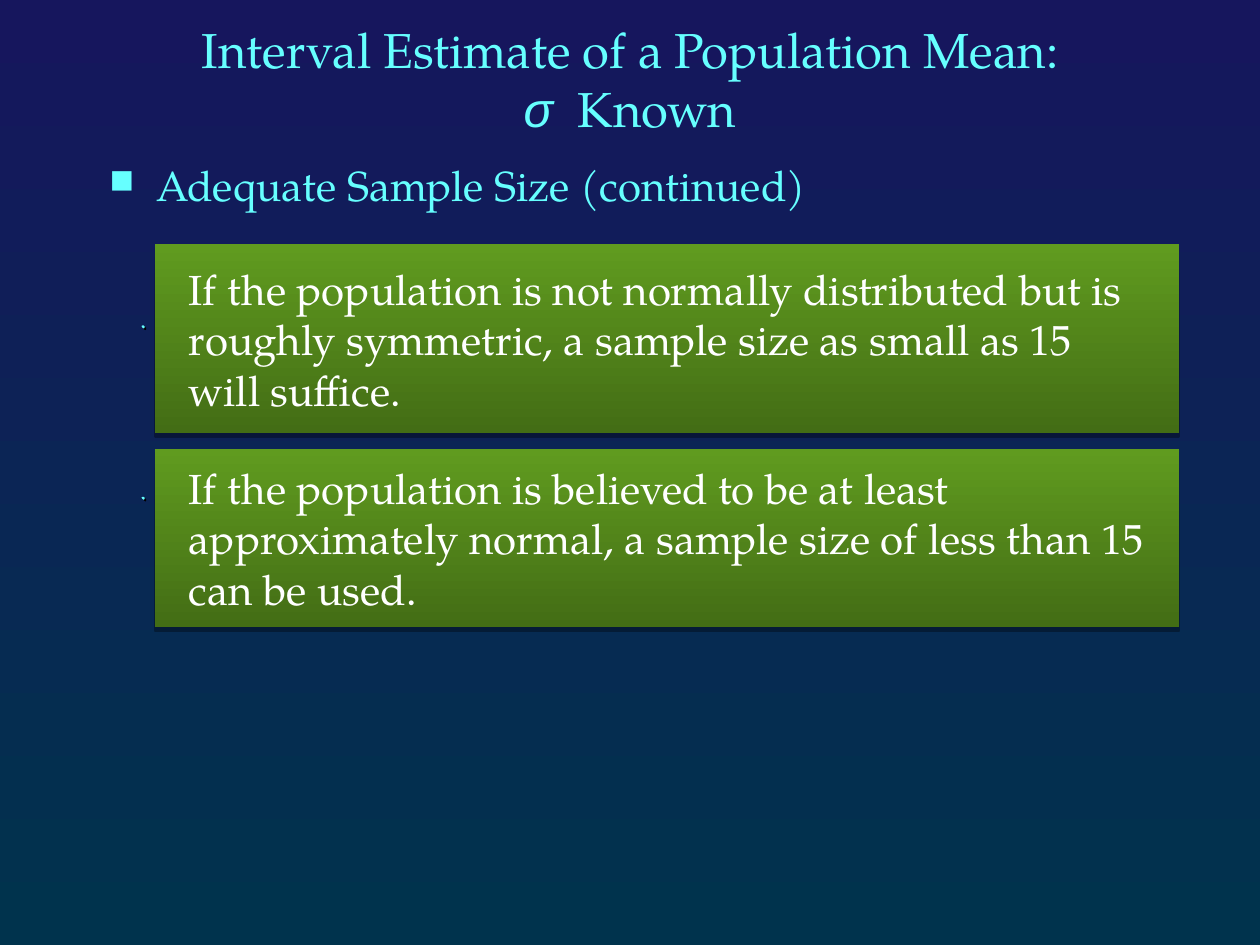
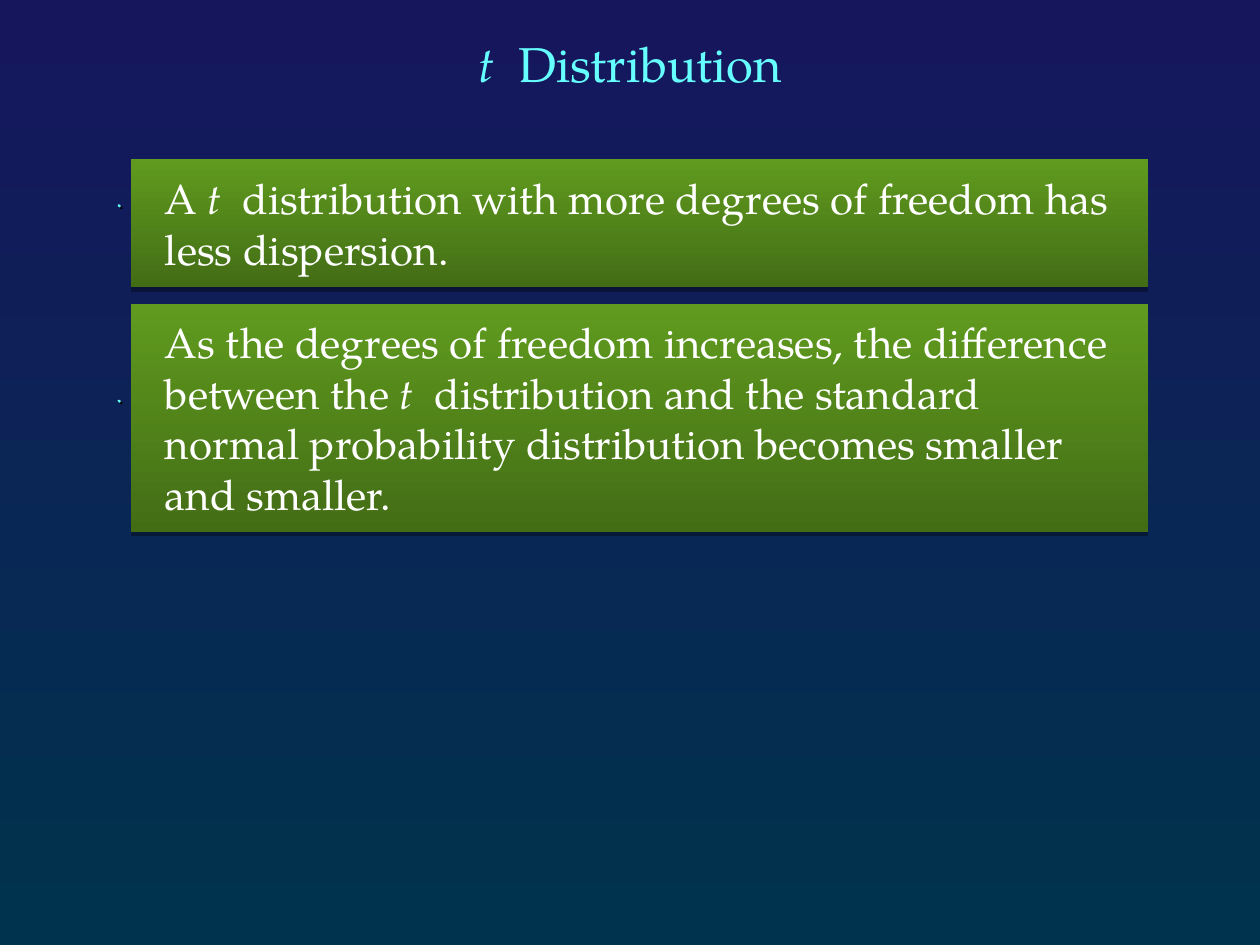
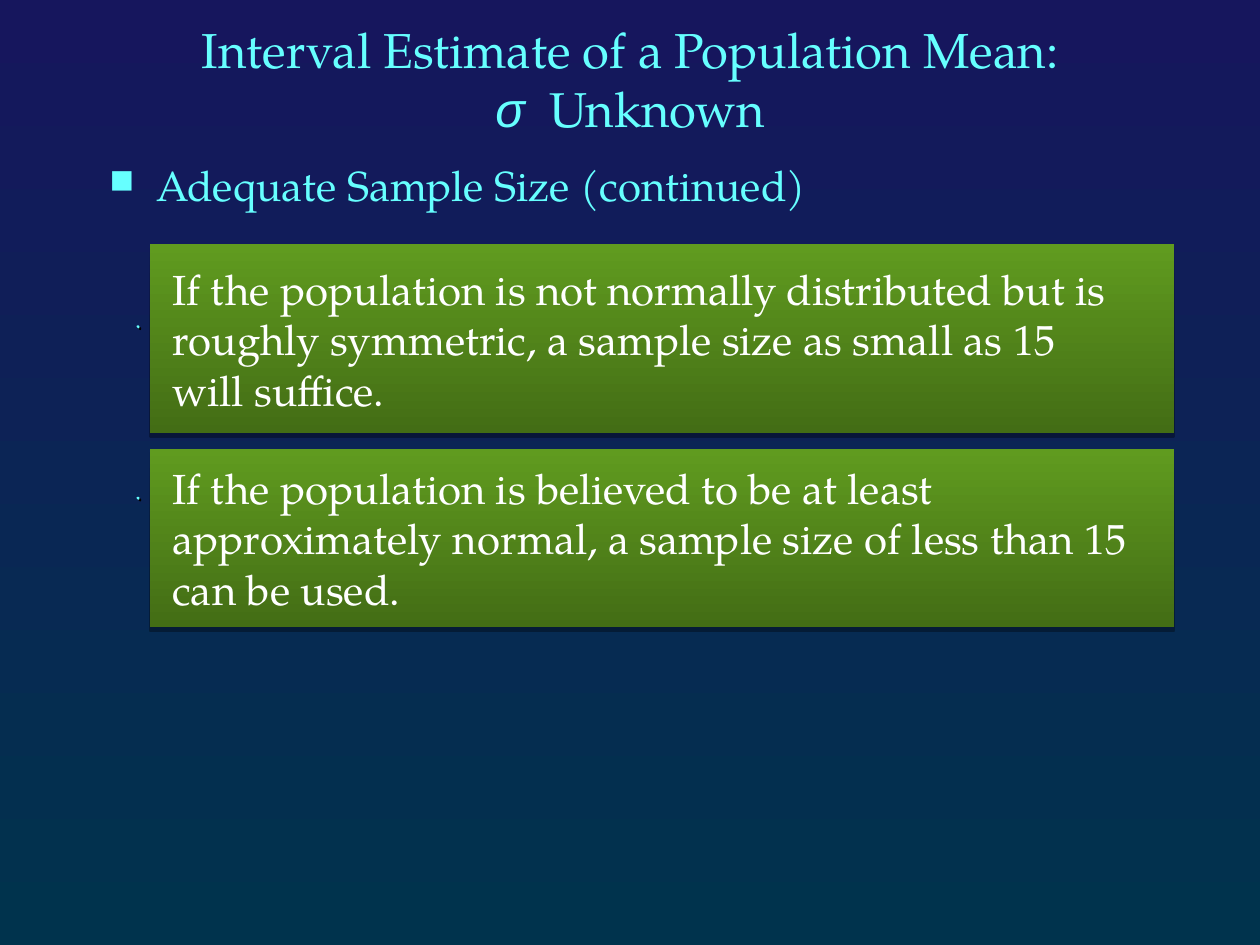
from lxml.etree import SubElement
from pptx import Presentation
from pptx.dml.color import RGBColor
from pptx.enum.shapes import MSO_SHAPE
from pptx.enum.text import MSO_ANCHOR, PP_ALIGN
from pptx.oxml.ns import qn
from pptx.util import Inches, Pt

SERIF = "TeX Gyre Pagella"
SANS = "Arial"
CYAN = "66FFFF"
WHITE = "FFFFFF"
BLACK = "000000"
BACKGROUND = ("16165D", "00334D")
GREEN = ("609B1F", "436D15")

ESTIMATE_TITLE = "Interval Estimate of a Population Mean:"
SYMMETRIC = [
    "If the population is not normally distributed but is",
    "roughly symmetric, a sample size as small as 15",
    "will suffice.",
]
NEARLY_NORMAL = [
    "If the population is believed to be at least",
    "approximately normal, a sample size of less than 15",
    "can be used.",
]
MORE_FREEDOM = [
    ["A ", ("t", SERIF), "  distribution with more degrees of freedom has"],
    "less dispersion.",
]
CONVERGENCE = [
    "As the degrees of freedom increases, the difference",
    ["between the ", ("t", SERIF), "  distribution and the standard"],
    "normal probability distribution becomes smaller",
    "and smaller.",
]


def color(value):
    return RGBColor.from_string(value)


def fill_gradient(fill, colors):
    fill.gradient()
    fill.gradient_angle = 270
    for stop, value in zip(fill.gradient_stops, colors):
        stop.color.rgb = color(value)


def add_shadow(shape, opacity, distance, angle):
    shape.shadow.inherit = False
    effects = shape._element.spPr.find(qn("a:effectLst"))
    shadow = SubElement(effects, qn("a:outerShdw"), blurRad="0", dist=str(Pt(distance)),
                        dir=str(angle * 60000), algn="ctr", rotWithShape="0")
    shade = SubElement(shadow, qn("a:srgbClr"), val=BLACK)
    SubElement(shade, qn("a:alpha"), val=str(opacity * 1000))


def add_runs(paragraph, parts, size, value):
    for part in [parts] if isinstance(parts, str) else parts:
        italic = isinstance(part, tuple)
        text, font_name = part if italic else (part, SERIF)
        run = paragraph.add_run()
        run.text = text
        run.font.name = font_name
        run.font.size = Pt(size)
        run.font.italic = italic
        run.font.color.rgb = color(value)


def add_text_box(slide, box, anchor):
    frame = slide.shapes.add_textbox(*map(Inches, box)).text_frame
    frame.word_wrap = True
    frame.vertical_anchor = anchor
    return frame.paragraphs[0]


def add_title(slide, box, lines):
    paragraph = add_text_box(slide, box, MSO_ANCHOR.MIDDLE)
    paragraph.alignment = PP_ALIGN.CENTER
    for index, line in enumerate(lines):
        if index:
            paragraph.add_line_break()
        add_runs(paragraph, line, 28, CYAN)


def add_heading(slide, box, text):
    paragraph = add_text_box(slide, box, MSO_ANCHOR.TOP)
    paragraph.space_before = Pt(4.9)
    properties = paragraph._p.get_or_add_pPr()
    properties.set("marL", str(Inches(0.37)))
    properties.set("indent", str(Inches(-0.37)))
    bullet_color = SubElement(properties, qn("a:buClr"))
    SubElement(bullet_color, qn("a:srgbClr"), val=CYAN)
    SubElement(properties, qn("a:buSzPct"), val="80000")
    SubElement(properties, qn("a:buChar"), char="■")
    add_runs(paragraph, text, 24, CYAN)


def add_marker(slide, left, top):
    width, height, tip = Inches(0.27), Inches(0.17), Inches(0.01)
    builder = slide.shapes.build_freeform(0, 0)
    builder.add_line_segments([(tip, 0), (0, tip)])
    marker = builder.convert_to_shape()
    for outline in marker._element.iter(qn("a:path")):
        outline.set("w", str(width))
        outline.set("h", str(height))
    marker.left, marker.top = Inches(left), Inches(top)
    marker.width, marker.height = width, height
    marker.rotation = 90
    marker.fill.solid()
    marker.fill.fore_color.rgb = color(CYAN)
    marker.line.color.rgb = color(CYAN)
    marker.line.width = Pt(1)
    add_shadow(marker, 100, 1.4, 45)


def add_panel(slide, box, lines, indent, marker_drop):
    left, top = box[:2]
    panel = slide.shapes.add_shape(MSO_SHAPE.RECTANGLE, *map(Inches, box))
    fill_gradient(panel.fill, GREEN)
    panel.line.fill.background()
    add_shadow(panel, 32, 2.2, 90)
    frame = panel.text_frame
    frame.word_wrap = True
    frame.vertical_anchor = MSO_ANCHOR.MIDDLE
    for index, line in enumerate(lines):
        paragraph = frame.add_paragraph() if index else frame.paragraphs[0]
        paragraph.alignment = PP_ALIGN.LEFT
        paragraph._p.get_or_add_pPr().set("marL", str(Inches(indent)))
        add_runs(paragraph, line, 24, WHITE)
    add_marker(slide, left - 0.31, top + marker_drop)


def add_slide(presentation):
    return presentation.slides.add_slide(presentation.slide_layouts[6])


def add_sample_size_slide(presentation, status, left, indent):
    slide = add_slide(presentation)
    add_title(slide, (0.75, 0.18, 8.5, 0.89),
              [ESTIMATE_TITLE, [("σ", SANS), "  " + status]])
    add_heading(slide, (0.77, 1.22, 8.65, 0.67), "Adequate Sample Size (continued)")
    add_panel(slide, (left, 1.94, 8.13, 1.5), SYMMETRIC, indent, 0.7)
    add_panel(slide, (left, 3.56, 8.13, 1.42), NEARLY_NORMAL, indent, 0.44)


def add_distribution_slide(presentation):
    slide = add_slide(presentation)
    add_title(slide, (0.75, 0.17, 8.5, 0.66), [[("t", SERIF), "  Distribution"]])
    add_panel(slide, (1.04, 1.26, 8.07, 1.02), MORE_FREEDOM, 0.17, 0.42)
    add_panel(slide, (1.04, 2.41, 8.07, 1.81), CONVERGENCE, 0.17, 0.82)


def main():
    presentation = Presentation()
    presentation.slide_width = Inches(10)
    presentation.slide_height = Inches(7.5)
    fill_gradient(presentation.slide_master.background.fill, BACKGROUND)
    add_sample_size_slide(presentation, "Known", 1.23, 0.17)
    add_distribution_slide(presentation)
    add_sample_size_slide(presentation, "Unknown", 1.19, 0.08)
    presentation.save("out.pptx")


if __name__ == "__main__":
    main()
